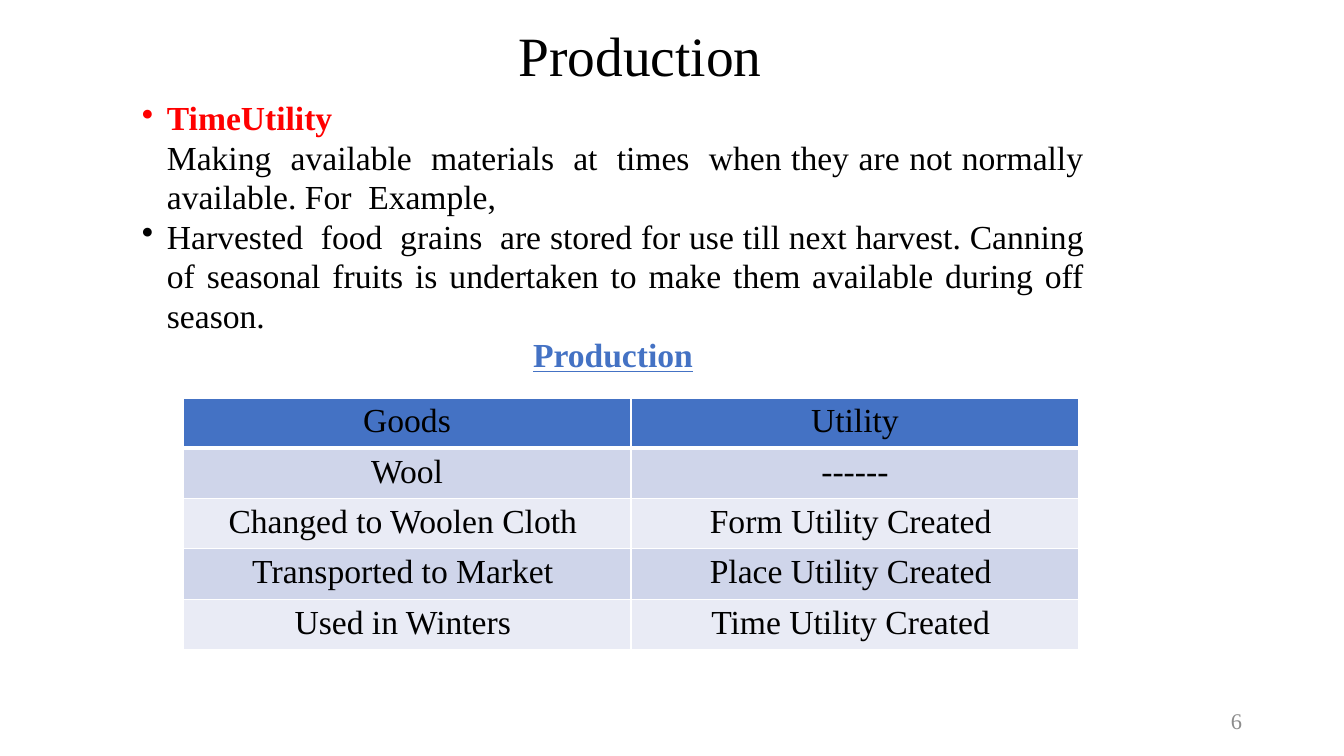
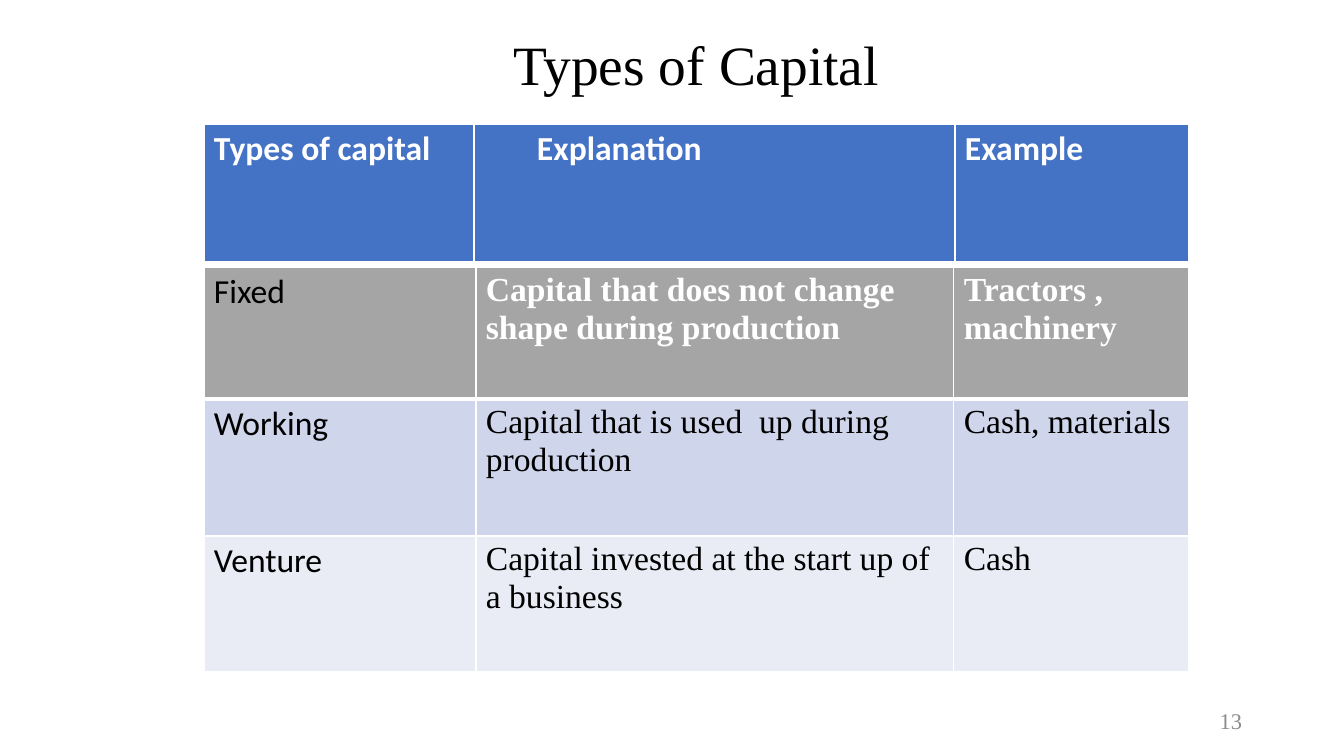
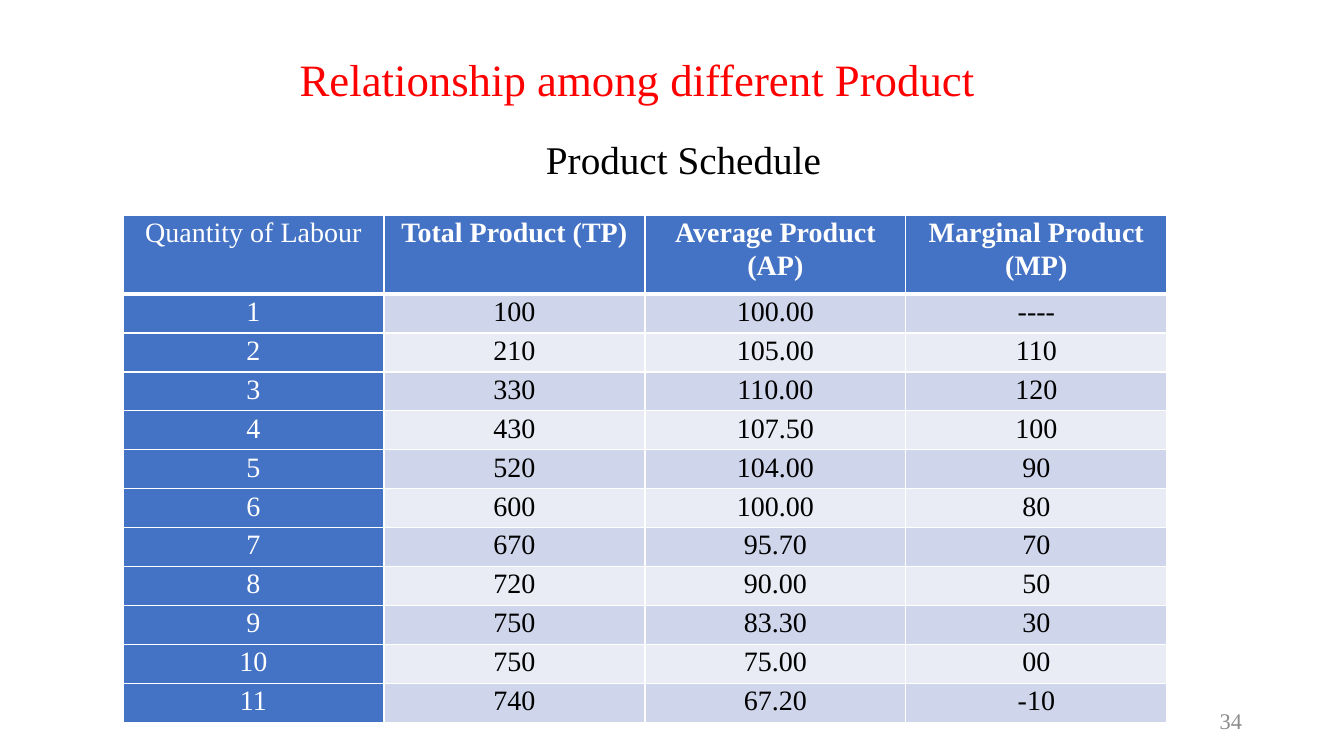
"""Build three slides on production, types of capital and product schedules."""
import pptx
import pptx.dml.color
import pptx.enum.text
import pptx.oxml
import pptx.oxml.ns
import pptx.util

RGB = pptx.dml.color.RGBColor
ALIGN = pptx.enum.text.PP_ALIGN
ANCHOR = pptx.enum.text.MSO_ANCHOR

BLACK = RGB(0x00, 0x00, 0x00)
WHITE = RGB(0xFF, 0xFF, 0xFF)
RED = RGB(0xFF, 0x00, 0x00)
BLUE = RGB(0x44, 0x72, 0xC4)
GRAY = RGB(0xA5, 0xA5, 0xA5)
NUMBER_GRAY = RGB(0x8C, 0x8C, 0x8C)
BANDS = (RGB(0xCF, 0xD5, 0xEA), RGB(0xE9, 0xEB, 0xF5))

SCALE = 914400 / 100.8
SERIF, SANS = "Times New Roman", "Calibri"
THIN, THICK = 1, 3
NUMBER_PLACE = (950, 701, 302, 40)

PLAIN = (SERIF, BLACK, False)
STRONG_WHITE = (SERIF, WHITE, True)

BULLETS = [
    [("TimeUtility", RED, True),
     ("\vMaking  available  materials  at  times  when they are not normally available. For  Example,",
      BLACK, False)],
    [("Harvested  food  grains  are stored for use till next harvest. "
      "Canning of seasonal fruits is undertaken to make them available during off season.",
      BLACK, False)],
]

GOODS = {
    "left": 183, "top": 398, "widths": [448, 448], "heights": [47] * 5,
    "size": 24, "align": ALIGN.CENTER, "header": PLAIN, "header_fill": BLUE,
    "rows": [
        ("Goods", "Utility"),
        ("Wool", "------"),
        ("Changed to Woolen Cloth ", "Form Utility Created "),
        ("Transported to Market ", "Place Utility Created "),
        ("Used in Winters ", "Time Utility Created "),
    ],
}
CAPITAL_HEADER = {
    "left": 204, "top": 124, "widths": [270, 481, 234], "heights": [139],
    "size": 24, "header": (SANS, WHITE, True), "header_fill": BLUE,
    "rows": [("Types of capital", "Explanation", "Example")],
}
CAPITAL = {
    "left": 204, "top": 267, "widths": [272, 478, 235], "heights": [132, 137, 136],
    "size": 24, "header": STRONG_WHITE, "header_fill": GRAY,
    "first_column": (SANS, BLACK, False),
    "rows": [
        ("Fixed", "Capital that does not change shape during production",
         "Tractors , machinery"),
        ("Working", "Capital that is used  up during production", "Cash, materials"),
        ("Venture", "Capital invested at the start up of a business", "Cash"),
    ],
}
SCHEDULE = {
    "left": 123, "top": 215, "widths": [261] * 4, "heights": [79] + [39] * 11,
    "size": 20, "align": ALIGN.CENTER, "spacing": 1.07, "margins": (7, 0),
    "header": STRONG_WHITE, "header_fill": BLUE,
    "first_column": (SERIF, WHITE, False), "first_column_fill": BLUE,
    "rows": [
        ("Quantity of Labour", "Total Product (TP)", "Average Product (AP)",
         "Marginal Product (MP)"),
        ("1", "100", "100.00", "----"),
        ("2", "210", "105.00", "110"),
        ("3", "330", "110.00", "120"),
        ("4", "430", "107.50", "100"),
        ("5", "520", "104.00", "90"),
        ("6", "600", "100.00", "80"),
        ("7", "670", "95.70", "70"),
        ("8", "720", "90.00", "50"),
        ("9", "750", "83.30", "30"),
        ("10", "750", "75.00", "00"),
        ("11", "740", "67.20", "-10"),
    ],
}

PAGES = [
    {"title": ("Production ", (146, 23, 1002, 71), 39.6, BLACK),
     "number": "6", "tables": [GOODS]},
    {"title": ("Types of Capital", (204, 36, 985, 64), 39.6, BLACK),
     "number": "13", "tables": [CAPITAL, CAPITAL_HEADER]},
    {"title": ("Relationship among different Product", (112, 40, 1051, 85), 32, RED),
     "number": "34", "tables": [SCHEDULE]},
]


def px(length):
    return pptx.util.Emu(round(length * SCALE))


def style(font, size, color, bold=False, name=SERIF):
    font.name, font.size, font.bold = name, pptx.util.Pt(size), bold
    font.color.rgb = color


def add_box(page, place, anchor=ANCHOR.TOP):
    box = page.shapes.add_textbox(*map(px, place))
    frame = box.text_frame
    frame.word_wrap = True
    frame.vertical_anchor = anchor
    return frame


def add_line(page, text, place, size, color, align=ALIGN.CENTER, spacing=0.9,
             anchor=ANCHOR.MIDDLE):
    paragraph = add_box(page, place, anchor).paragraphs[0]
    paragraph.text = text
    paragraph.alignment = align
    paragraph.line_spacing = spacing
    style(paragraph.runs[0].font, size, color)


def add_bullet(paragraph):
    properties = paragraph._p.get_or_add_pPr()
    properties.set("marL", str(px(25)))
    properties.set("indent", str(-px(25)))
    bullet = pptx.oxml.parse_xml(
        f'<a:buChar {pptx.oxml.ns.nsdecls("a")} char="•"/>')
    properties.append(bullet)


def add_body(page):
    frame = add_box(page, (132, 94, 962, 587))
    parts = [(spans, True) for spans in BULLETS]
    parts.append(([("Production", BLUE, True)], False))
    for index, (spans, bulleted) in enumerate(parts):
        paragraph = frame.add_paragraph() if index else frame.paragraphs[0]
        paragraph.alignment = ALIGN.JUSTIFY if bulleted else ALIGN.CENTER
        paragraph.line_spacing = 0.98
        if bulleted:
            add_bullet(paragraph)
        for text, color, bold in spans:
            if text.startswith("\v"):
                paragraph.add_line_break()
            span = paragraph.add_run()
            span.text = text.lstrip("\v")
            style(span.font, 24, color, bold)
            span.font.underline = not bulleted


def set_borders(cell, top, bottom):
    properties = cell._tc.get_or_add_tcPr()
    edges = (("lnL", THIN), ("lnR", THIN), ("lnT", top), ("lnB", bottom))
    for index, (edge, width) in enumerate(edges):
        properties.insert(index, pptx.oxml.parse_xml(
            f'<a:{edge} {pptx.oxml.ns.nsdecls("a")} w="{pptx.util.Pt(width)}">'
            f'<a:solidFill><a:srgbClr val="{WHITE}"/></a:solidFill></a:{edge}>'))


def add_table(page, spec_table):
    rows, widths, heights = (spec_table[key] for key in ("rows", "widths", "heights"))
    place = (spec_table["left"], spec_table["top"], sum(widths), sum(heights))
    table = page.shapes.add_table(len(rows), len(widths), *map(px, place)).table
    table.first_row = table.horz_banding = False
    for column, width in zip(table.columns, widths):
        column.width = px(width)
    for row_index, texts in enumerate(rows):
        table.rows[row_index].height = px(heights[row_index])
        is_header = row_index == 0
        for column_index, text in enumerate(texts):
            cell = table.cell(row_index, column_index)
            look = spec_table["header"] if is_header else PLAIN
            fill = spec_table["header_fill"] if is_header else BANDS[(row_index - 1) % 2]
            if column_index == 0:
                look = spec_table.get("first_column", look)
                fill = spec_table.get("first_column_fill", fill)
            cell.fill.solid()
            cell.fill.fore_color.rgb = fill
            set_borders(cell, THICK if row_index == 1 else THIN,
                        THICK if is_header else THIN)
            side, edge = spec_table.get("margins", (10, 5))
            cell.margin_left = cell.margin_right = px(side)
            cell.margin_top = cell.margin_bottom = px(edge)
            if text == "Explanation":
                cell.margin_left = px(63)
            cell.text_frame.text = text
            paragraph = cell.text_frame.paragraphs[0]
            paragraph.alignment = spec_table.get("align", ALIGN.LEFT)
            paragraph.line_spacing = spec_table.get("spacing", 1.0)
            name, color, bold = look
            style(paragraph.runs[0].font, spec_table["size"], color, bold, name)


def main():
    deck = pptx.Presentation()
    deck.slide_width, deck.slide_height = px(1344), px(756)
    for index, content in enumerate(PAGES):
        page = deck.slides.add_slide(deck.slide_layouts[6])
        add_line(page, *content["title"])
        if index == 0:
            add_body(page)
        if index == 2:
            add_line(page, "Product Schedule", (104, 136, 1159, 550), 28, BLACK,
                     anchor=ANCHOR.TOP)
        for table in content["tables"]:
            add_table(page, table)
        add_line(page, content["number"], NUMBER_PLACE, 16, NUMBER_GRAY,
                 ALIGN.RIGHT, 1.0)
    deck.save("out.pptx")


if __name__ == "__main__":
    main()
